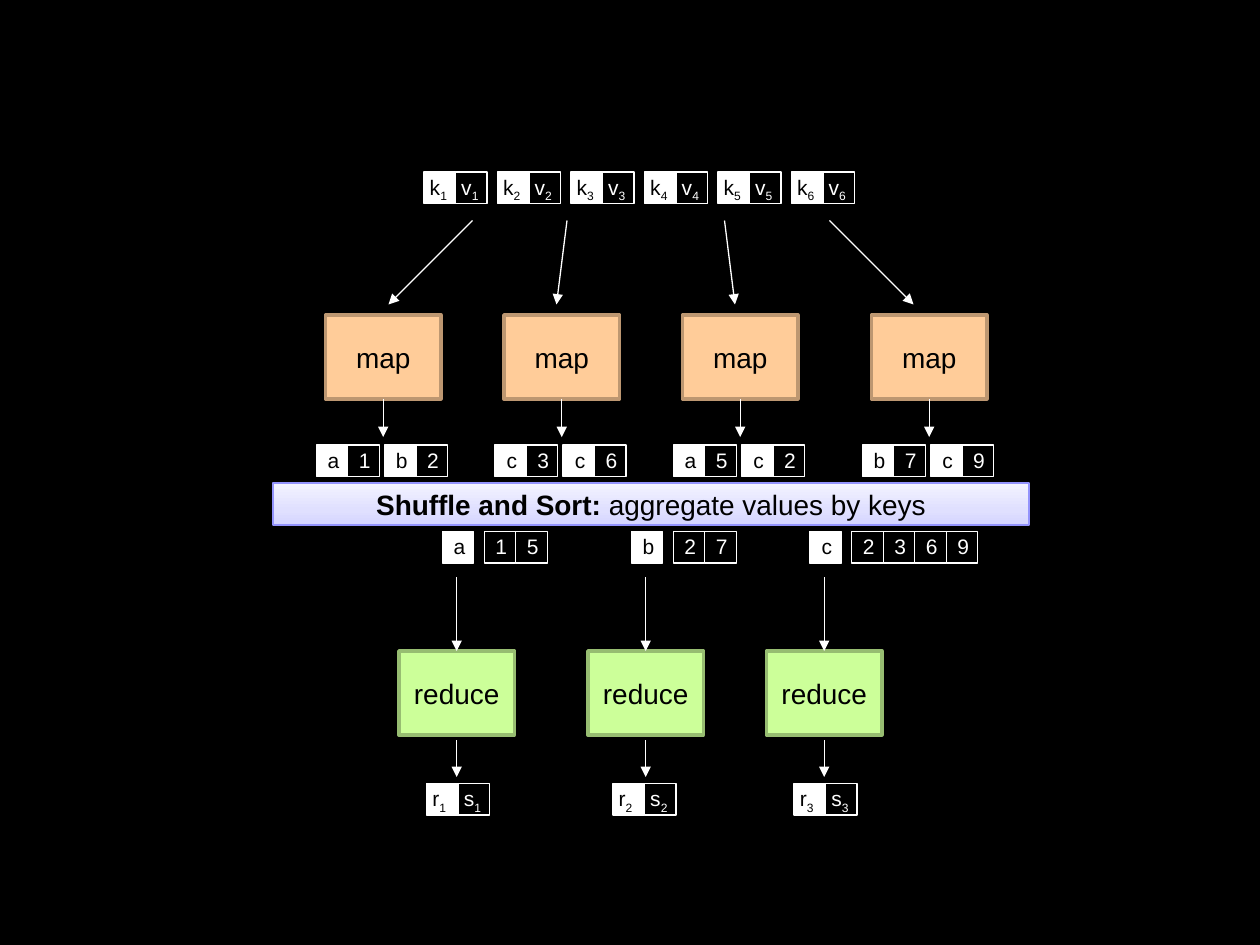
from lxml.etree import SubElement as Sub
from pptx import Presentation
from pptx.dml.color import RGBColor
from pptx.enum.shapes import MSO_CONNECTOR as Conn, MSO_SHAPE as Geom
from pptx.enum.text import MSO_ANCHOR as Anchor, MSO_AUTO_SIZE as Auto, PP_ALIGN as Align
from pptx.oxml.ns import qn
from pptx.util import Pt

PX = 9525
BLACK, WHITE = "000000", "FFFFFF"
SIDE, BOX_W, BOX_H = 24, 88, 64


def px(*nums):
    return [num * PX for num in nums]


def rgb(code):
    return RGBColor.from_string(code)


def apply(item, form):
    for key, val in form.items():
        setattr(item, key, val)


class Chart:
    big = {"name": "Arial", "size": Pt(16), "bold": False}
    small = {"name": "Arial", "size": Pt(12)}
    box = {"vertical_anchor": Anchor.MIDDLE, "word_wrap": True}
    label = {"word_wrap": False, "auto_size": Auto.SHAPE_TO_FIT_TEXT}

    def __init__(self, slide):
        self.slide = slide
        self.shapes = slide.shapes
        back = slide.background.fill
        back.solid()
        back.fore_color.rgb = rgb(BLACK)

    def group(self):
        return self.shapes.add_group_shape().shapes

    def rect(self, home, area, fill, line, width):
        shape = home.add_shape(Geom.RECTANGLE, *px(*area))
        shape.shadow.inherit = False
        if fill:
            shape.fill.solid()
            shape.fill.fore_color.rgb = rgb(fill)
        else:
            shape.fill.background()
        shape.line.color.rgb = rgb(line)
        shape.line.width = Pt(width)
        return shape

    def run(self, para, text, color, form):
        run = para.add_run()
        run.text = text
        apply(run.font, form)
        run.font.color.rgb = rgb(color)
        return run

    def title(self, shape, *parts):
        apply(shape.text_frame, self.box)
        para = shape.text_frame.paragraphs[0]
        para.alignment = Align.CENTER
        for text, bold in parts:
            self.run(para, text, BLACK, {**self.big, "bold": bold})

    def task(self, x, y, text, fill, line):
        shape = self.rect(self.shapes, (x, y, BOX_W, BOX_H), fill, line, 2)
        self.title(shape, (text, False))
        return shape

    def band(self, area, stops, line, *parts):
        shape = self.rect(self.shapes, area, None, line, 0.75)
        shape.fill.gradient()
        shape.fill.gradient_angle = 90
        props = shape._element.spPr
        ramp = props.find(".//" + qn("a:gsLst"))
        ramp.clear()
        for pos, code in stops:
            stop = Sub(ramp, qn("a:gs"), pos=str(pos * 1000))
            Sub(stop, qn("a:srgbClr"), val=code)
        shade = Sub(props.find(qn("a:effectLst")), qn("a:outerShdw"),
                    blurRad="39370", dist="20320", dir="5400000", rotWithShape="0")
        tint = Sub(shade, qn("a:srgbClr"), val=BLACK)
        Sub(tint, qn("a:alpha"), val="38000")
        self.title(shape, *parts)

    def arrow(self, x, y, to_x, to_y, start=None, end=None):
        line = self.shapes.add_connector(Conn.STRAIGHT, *px(x, y, to_x, to_y))
        line.line.color.rgb = rgb(WHITE)
        line.line.width = Pt(0.75)
        props = line._element.spPr
        Sub(props.find(qn("a:ln")), qn("a:tailEnd"), type="triangle")
        Sub(props, qn("a:effectLst"))
        if start:
            line.begin_connect(start, 2)
        if end:
            line.end_connect(end, 0)

    def cell(self, home, x, y, text, is_key):
        self.rect(home, (x, y, SIDE, SIDE), WHITE if is_key else None, WHITE, 0.75)
        base, index = text[0], text[1:]
        left, wide = (x - 5, 34) if index else (x - 1, 28)
        frame = home.add_textbox(*px(left, y - 3, wide, 29)).text_frame
        apply(frame, self.label)
        para = frame.paragraphs[0]
        para.alignment = Align.CENTER if is_key and not index else Align.LEFT
        color = BLACK if is_key else WHITE
        self.run(para, base, color, self.small)
        if index:
            low = self.run(para, index, color, self.small)
            low._r.get_or_add_rPr().set("baseline", "-25000")

    def pair(self, home, x, y, key, value):
        self.cell(home, x, y, key, True)
        self.cell(home, x + SIDE, y, value, False)


def main():
    deck = Presentation()
    deck.slide_width, deck.slide_height = px(960, 720)
    chart = Chart(deck.slides.add_slide(deck.slide_layouts[6]))

    home = chart.group()
    for n in range(6):
        chart.pair(home, 323 + 56 * n, 131, f"k{n + 1}", f"v{n + 1}")

    maps = [
        (248, 360, 296, ("a1", "b2")),
        (384, 432, 424, ("c3", "c6")),
        (520, 552, 560, ("a5", "c2")),
        (664, 632, 696, ("b7", "c9")),
    ]
    for x, from_x, to_x, pairs in maps:
        mid = x + BOX_W // 2
        chart.arrow(from_x, 168, to_x, 232)
        task = chart.task(x, 240, "map", "FFCC99", "BD9771")
        chart.arrow(mid, 304, mid, 333, start=task)
        home = chart.group()
        for n, (key, value) in enumerate(pairs):
            chart.pair(home, x - 7 + 52 * n, 339, key, value)

    chart.band((208, 368, 576, 32),
               [(0, "D4D4FF"), (35, "E0E0FF"), (100, "F3F3FF")], "9393FC",
               ("Shuffle and Sort:", True), (" aggregate values by keys", False))

    folds = [(304, "a", "15", 325), (448, "b", "27", 467), (584, "c", "2369", 605)]
    for n, (x, key, values, out_x) in enumerate(folds, 1):
        mid = x + BOX_W // 2
        home = chart.group()
        chart.cell(home, x + 33, 405, key, True)
        for i, value in enumerate(values):
            chart.cell(home, x + 65 + SIDE * i, 405, value, False)
        task = chart.task(x, 496, "reduce", "CCFF99", "97BD71")
        chart.arrow(mid, 440, mid, 496, end=task)
        chart.arrow(mid, 564, mid, 592)
        chart.pair(chart.group(), out_x, 597, f"r{n}", f"s{n}")

    deck.save("out.pptx")


if __name__ == "__main__":
    main()
